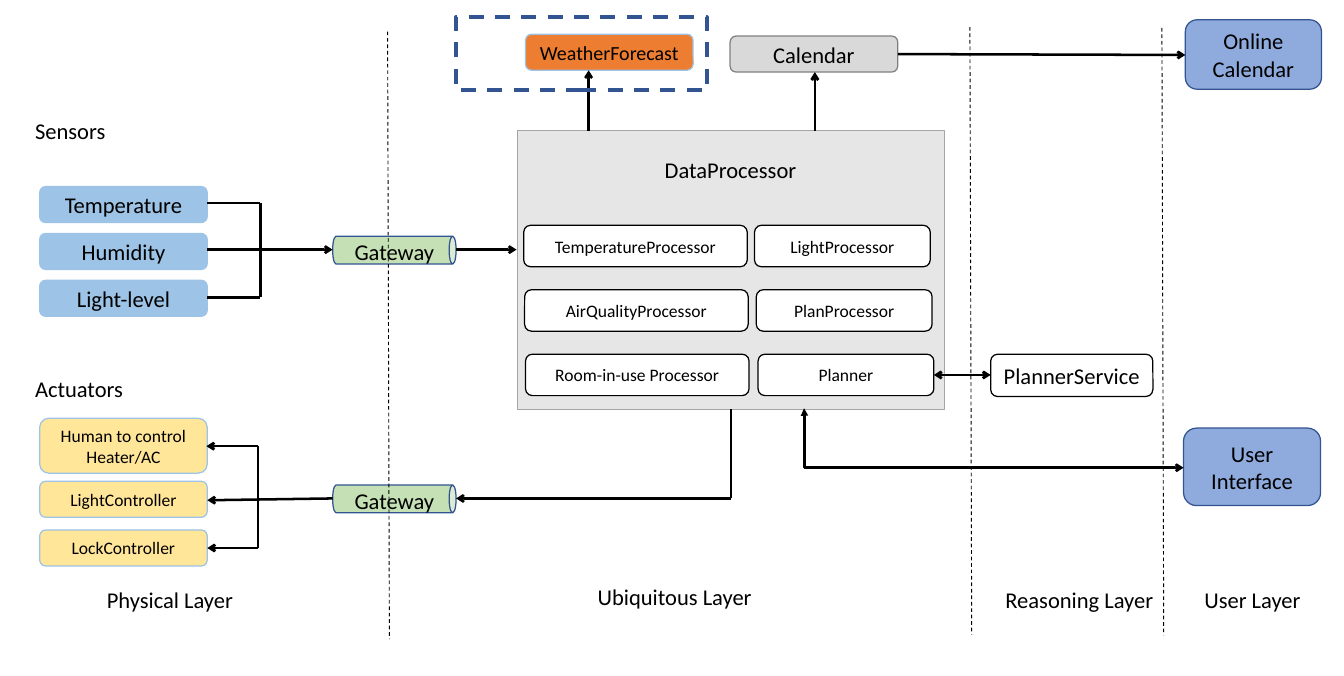
from lxml import etree
from pptx import Presentation
from pptx import util as u
from pptx.dml import color
from pptx.enum import dml, shapes, text
from pptx.oxml import ns

COLUMNS, ROWS = 149.1, 75
COLOURS = {
    "ink": "000000", "paper": "FFFFFF", "navy": "325491", "user": "8FAADC",
    "panel": "E7E6E6", "panel_edge": "A5A5A5", "sensor": "9DC3E6",
    "actuator": "FFE699", "gateway": "C5E0B4", "calendar": "D9D9D9",
    "calendar_edge": "808080", "weather": "ED7D31",
}
ROUND = shapes.MSO_SHAPE.ROUNDED_RECTANGLE
RECT = shapes.MSO_SHAPE.RECTANGLE


class Diagram:
    font = "Calibri"

    def __init__(self, deck):
        self.deck = deck
        self.page = deck.slides.add_slide(deck.slide_layouts[6])

    def across(self, columns):
        return round(self.deck.slide_width * columns / COLUMNS)

    def down(self, rows):
        return round(self.deck.slide_height * rows / ROWS)

    def area(self, left, top, width, height):
        return (self.across(left), self.down(top),
                self.across(width), self.down(height))

    def colour(self, name):
        return color.RGBColor.from_string(COLOURS[name])

    def letter(self, box, words, size, align):
        frame = box.text_frame
        frame.text = words
        frame.word_wrap = True
        frame.vertical_anchor = text.MSO_ANCHOR.MIDDLE
        for para in frame.paragraphs:
            para.alignment = align
            for span in para.runs:
                span.font.name = self.font
                span.font.size = u.Pt(size)
                span.font.color.rgb = self.colour("ink")

    def stroke(self, line, name, weight, dashed=False):
        line.color.rgb = self.colour(name)
        line.width = u.Pt(weight)
        if dashed:
            line.dash_style = dml.MSO_LINE.DASH

    def block(self, area, fill_name, edge, words="", size=18, kind=ROUND,
              weight=1, dashed=False):
        box = self.page.shapes.add_shape(kind, *self.area(*area))
        box.shadow.inherit = False
        if fill_name:
            box.fill.solid()
            box.fill.fore_color.rgb = self.colour(fill_name)
        else:
            box.fill.background()
        self.stroke(box.line, edge, weight, dashed)
        if words:
            frame = box.text_frame
            frame.margin_left = frame.margin_right = 0
            frame.margin_top = frame.margin_bottom = 0
            self.letter(box, words, size, text.PP_ALIGN.CENTER)
        return box

    def label(self, area, words, align=text.PP_ALIGN.CENTER):
        box = self.page.shapes.add_textbox(*self.area(*area))
        self.letter(box, words, 18, align)

    def gateway(self, left, top, width, height):
        shift = (width - height) / 2
        can = self.block((left + shift, top - shift, height, width),
                         "gateway", "navy", kind=shapes.MSO_SHAPE.CAN)
        can.rotation = 90
        self.label((left, top - 0.3, width, 4), "Gateway")

    def link(self, start, end, head=None, tail=None, weight=2, dashed=False,
             bend=None):
        kind = shapes.MSO_CONNECTOR.STRAIGHT if bend is None else shapes.MSO_CONNECTOR.ELBOW
        link = self.page.shapes.add_connector(
            kind, self.across(start[0]), self.down(start[1]),
            self.across(end[0]), self.down(end[1]))
        self.stroke(link.line, "ink", weight, dashed)
        properties = link._element.spPr
        outline = properties.find(ns.qn("a:ln"))
        for tag, style in (("a:headEnd", head), ("a:tailEnd", tail)):
            if style:
                etree.SubElement(outline, ns.qn(tag), type=style)
        etree.SubElement(properties, ns.qn("a:effectLst"))
        if bend is not None:
            guides = properties.find(ns.qn("a:prstGeom")).find(ns.qn("a:avLst"))
            etree.SubElement(guides, ns.qn("a:gd"), name="adj1", fmla=f"val {bend}")


deck = Presentation()
deck.slide_width, deck.slide_height = u.Inches(14.91), u.Inches(7.5)
diagram = Diagram(deck)

diagram.block((57.4, 14.5, 47.4, 30.9), "panel", "panel_edge", kind=RECT)
diagram.label((71.2, 16.8, 19.7, 4), "DataProcessor")
processors = (("TemperatureProcessor", "LightProcessor"),
              ("AirQualityProcessor", "PlanProcessor"),
              ("Room-in-use Processor", "Planner"))
for row, pair in enumerate(processors):
    places = ((58.1 + 0.1 * row, 24.8), (83.7 + 0.2 * row, 19.5))
    for words, (left, width) in zip(pair, places):
        diagram.block((left, 25 + 7.15 * row, width, 4.6), "paper", "ink", words, 14)

for top, words in ((12.5, "Sensors"), (41.1, "Actuators")):
    diagram.label((2.9, top, 14.8, 4), words, text.PP_ALIGN.LEFT)

for row, words in enumerate(("Temperature", "Humidity", "Light-level")):
    diagram.block((4.4, 20.7 + 5.2 * row, 18.6, 4), "sensor", "sensor", words)

for top, height, words in ((46.4, 6.1, "Human to control\nHeater/AC"),
                           (53.4, 4, "LightController"), (58.8, 4, "LockController")):
    diagram.block((4.4, top, 18.6, height), "actuator", "sensor", words, 14)

for top in (26.2, 53.8):
    diagram.gateway(36.9, top, 13.7, 3.1)

diagram.block((109.9, 39.3, 18, 4.7), "paper", "ink", "PlannerService")
diagram.block((131.5, 2.2, 15.1, 7.7), "user", "navy", "Online\nCalendar")
diagram.block((131.3, 47.5, 15.2, 8.6), "user", "navy", "User\nInterface")
diagram.block((81, 4, 18.6, 4), "calendar", "calendar_edge", "Calendar")
diagram.block((58.3, 3.8, 18.6, 4), "weather", "sensor", "WeatherForecast", 16)

for left, top in ((43, 3.5), (107.6, 3), (128.9, 3.1)):
    diagram.link((left, top), (left + 0.2, top + 67.4), weight=0.75, dashed=True)

for left, top, words in ((7.2, 64.5, "Physical Layer"), (63.2, 64.2, "Ubiquitous Layer"),
                         (108.1, 64.5, "Reasoning Layer"), (127.3, 64.5, "User Layer")):
    diagram.label((left, top, 23.3, 4), words)

plain_links = (
    ((23, 22.5), (28.9, 22.5)), ((23, 33), (28.9, 33)), ((28.9, 22.5), (28.9, 33)),
    ((28.6, 49.5), (28.6, 60.8)), ((81.1, 45.4), (81.1, 55.3)),
)
arrows = (
    ((23, 27.7), (36.9, 27.7)), ((50.6, 27.7), (57.3, 27.7)),
    ((36.9, 55.3), (23, 55.5)), ((28.6, 49.5), (22.9, 49.5)),
    ((28.6, 60.8), (23, 60.8)), ((81.1, 55.3), (50.6, 55.3)),
    ((65.3, 14.5), (65.3, 7.8)), ((90.4, 14.5), (90.4, 8)),
    ((99.6, 6), (131.5, 6.1)),
)
for start, end in plain_links:
    diagram.link(start, end)
for start, end in arrows:
    diagram.link(start, end, tail="arrow")
diagram.link((103.6, 41.6), (109.9, 41.6), head="arrow", tail="arrow")
diagram.link((89.2, 45.3), (131.3, 51.9), head="triangle", tail="arrow", bend=100)

diagram.block((50.6, 1.9, 27.8, 8.1), None, "navy", kind=RECT, weight=3, dashed=True)

deck.save("out.pptx")
